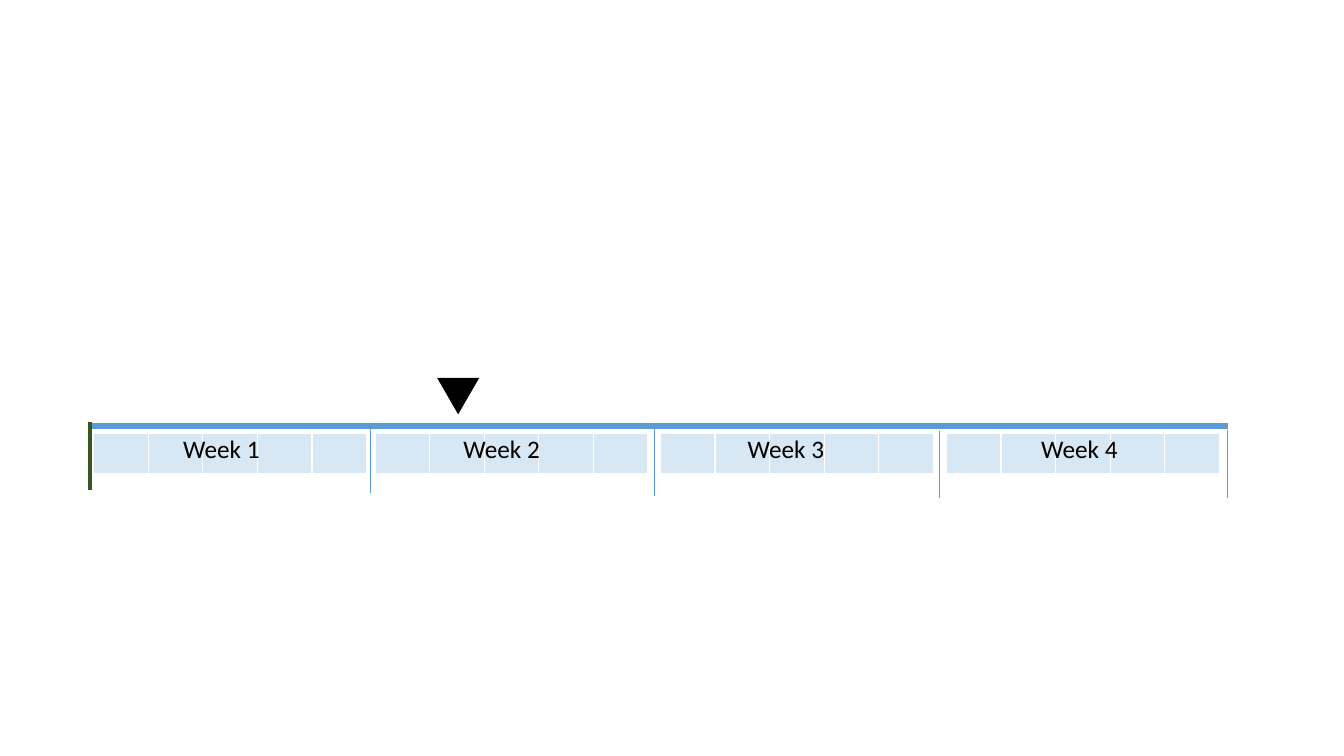
from dataclasses import dataclass

from lxml import etree
from pptx import Presentation
from pptx.dml.color import RGBColor
from pptx.enum.shapes import MSO_CONNECTOR, MSO_SHAPE
from pptx.enum.text import MSO_AUTO_SIZE
from pptx.oxml.ns import qn
from pptx.util import Pt

STRAIGHT = MSO_CONNECTOR.STRAIGHT
TRIANGLE = MSO_SHAPE.ISOSCELES_TRIANGLE
FIT_SHAPE = MSO_AUTO_SIZE.SHAPE_TO_FIT_TEXT
BLANK_LAYOUT = 6


@dataclass(frozen=True)
class Theme:
    blue: str = "5B9BD5"
    green: str = "385723"
    black: str = "000000"
    white: str = "FFFFFF"
    day_opacity: int = 24
    font: str = "Calibri"
    label_size: int = 18
    axis_width: float = 4.5
    start_width: float = 2.25
    divider_width: float = 0.5


@dataclass(frozen=True)
class Week:
    name: str
    days_left: float
    label_left: float
    divider_left: float
    divider_top: float


THEME = Theme()
DAYS_PER_WEEK = 5
DAY_WIDTH = 39
DAYS_TOP = 309.6
DAYS_HEIGHT = 29.5
LABEL_TOP = 306
LABEL_WIDTH = 74.2
LABEL_HEIGHT = 29
DIVIDER_HEIGHT = 48
AXIS_LEFT = 64.3
AXIS_RIGHT = 877
AXIS_TOP = 304.2
START_TOP = 301.7
BORDERS = {"lnL": 1, "lnR": 1, "lnT": 1, "lnB": 3}
WEEKS = (
    Week("Week 1", 66.9, 123.8, 264.2, 304),
    Week("Week 2", 267.9, 324, 467.3, 306),
    Week("Week 3", 471.8, 527, 671, 308),
    Week("Week 4", 676, 736.6, AXIS_RIGHT, 307.5),
)


def add_line(page, start, end, color, width):
    line = page.shapes.add_connector(STRAIGHT, *map(Pt, start + end))
    line.line.color.rgb = RGBColor.from_string(color)
    line.line.width = Pt(width)
    etree.SubElement(line.element.spPr, qn("a:effectLst"))


def add_marker(page, left, top, width, height, rotation):
    marker = page.shapes.add_shape(TRIANGLE, *map(Pt, (left, top, width, height)))
    marker.rotation = rotation
    marker.shadow.inherit = False
    marker.fill.solid()
    marker.fill.fore_color.rgb = RGBColor.from_string(THEME.black)
    marker.line.fill.background()


def format_day(cell):
    cell.fill.solid()
    cell.fill.fore_color.rgb = RGBColor.from_string(THEME.blue)
    properties = cell.fill._xPr
    color = properties.find(".//" + qn("a:srgbClr"))
    etree.SubElement(color, qn("a:alpha"), val=str(THEME.day_opacity * 1000))
    for position, (side, width) in enumerate(BORDERS.items()):
        border = etree.Element(qn("a:" + side), w=str(Pt(width)))
        fill = etree.SubElement(border, qn("a:solidFill"))
        etree.SubElement(fill, qn("a:srgbClr"), val=THEME.white)
        properties.insert(position, border)


def add_days(page, left):
    frame = page.shapes.add_table(
        1, DAYS_PER_WEEK, Pt(left), Pt(DAYS_TOP),
        Pt(DAY_WIDTH * DAYS_PER_WEEK), Pt(DAYS_HEIGHT))
    table = frame.table
    table.first_row = False
    table.horz_banding = False
    for column in table.columns:
        column.width = Pt(DAY_WIDTH)
    for cell in table.iter_cells():
        format_day(cell)


def add_label(page, text, left):
    box = page.shapes.add_textbox(
        Pt(left), Pt(LABEL_TOP), Pt(LABEL_WIDTH), Pt(LABEL_HEIGHT))
    box.text_frame.word_wrap = False
    box.text_frame.auto_size = FIT_SHAPE
    para = box.text_frame.paragraphs[0]
    span = para.add_run()
    span.text = text
    span.font.name = THEME.font
    span.font.size = Pt(THEME.label_size)
    span.font.color.rgb = RGBColor.from_string(THEME.black)


def add_week(page, week):
    bottom = week.divider_top + DIVIDER_HEIGHT
    add_line(page, (week.divider_left, week.divider_top),
             (week.divider_left, bottom), THEME.blue, THEME.divider_width)
    add_days(page, week.days_left)
    add_label(page, week.name, week.label_left)


def main():
    deck = Presentation()
    deck.slide_width = Pt(960)
    deck.slide_height = Pt(540)
    page = deck.slides.add_slide(deck.slide_layouts[BLANK_LAYOUT])
    add_line(page, (AXIS_RIGHT, AXIS_TOP), (AXIS_LEFT, AXIS_TOP),
             THEME.blue, THEME.axis_width)
    add_line(page, (AXIS_LEFT, START_TOP),
             (AXIS_LEFT, START_TOP + DIVIDER_HEIGHT),
             THEME.green, THEME.start_width)
    add_marker(page, 316, 263.5, 30, 26, 60)
    for week in WEEKS:
        add_week(page, week)
    deck.save("out.pptx")


if __name__ == "__main__":
    main()
